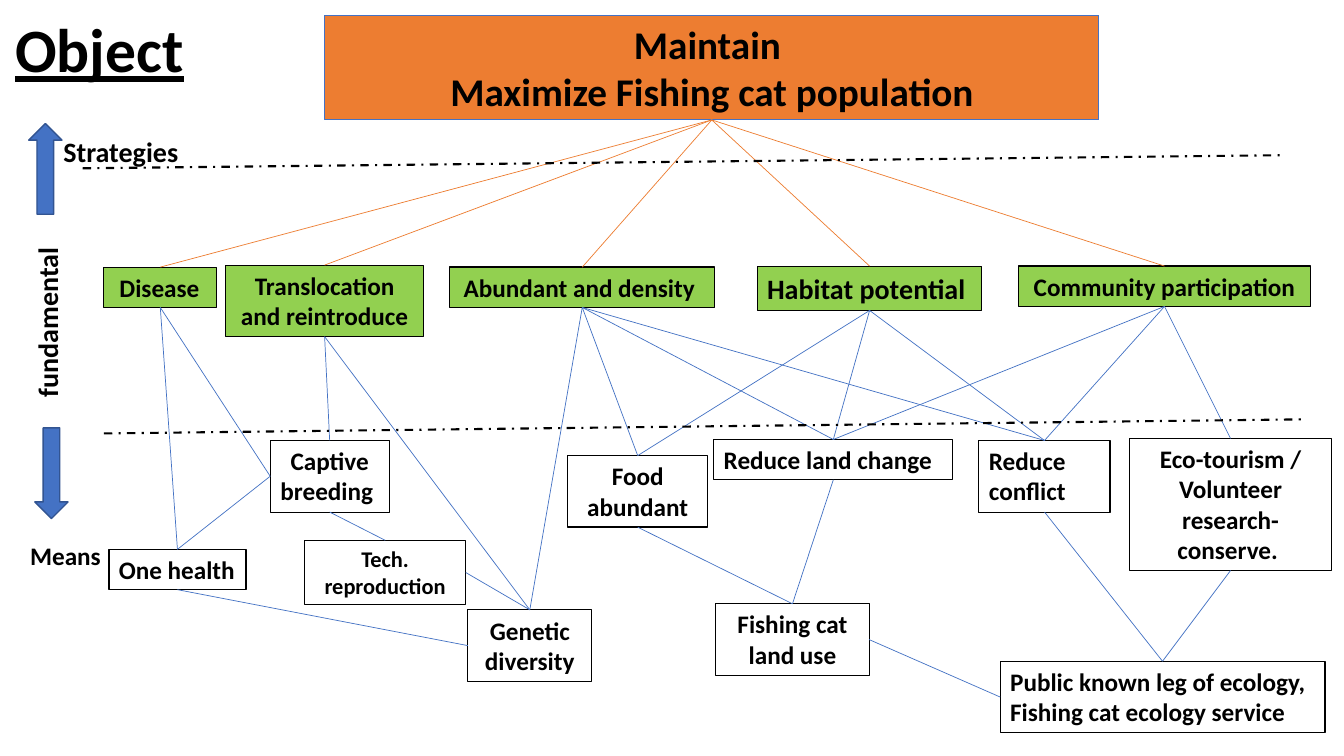
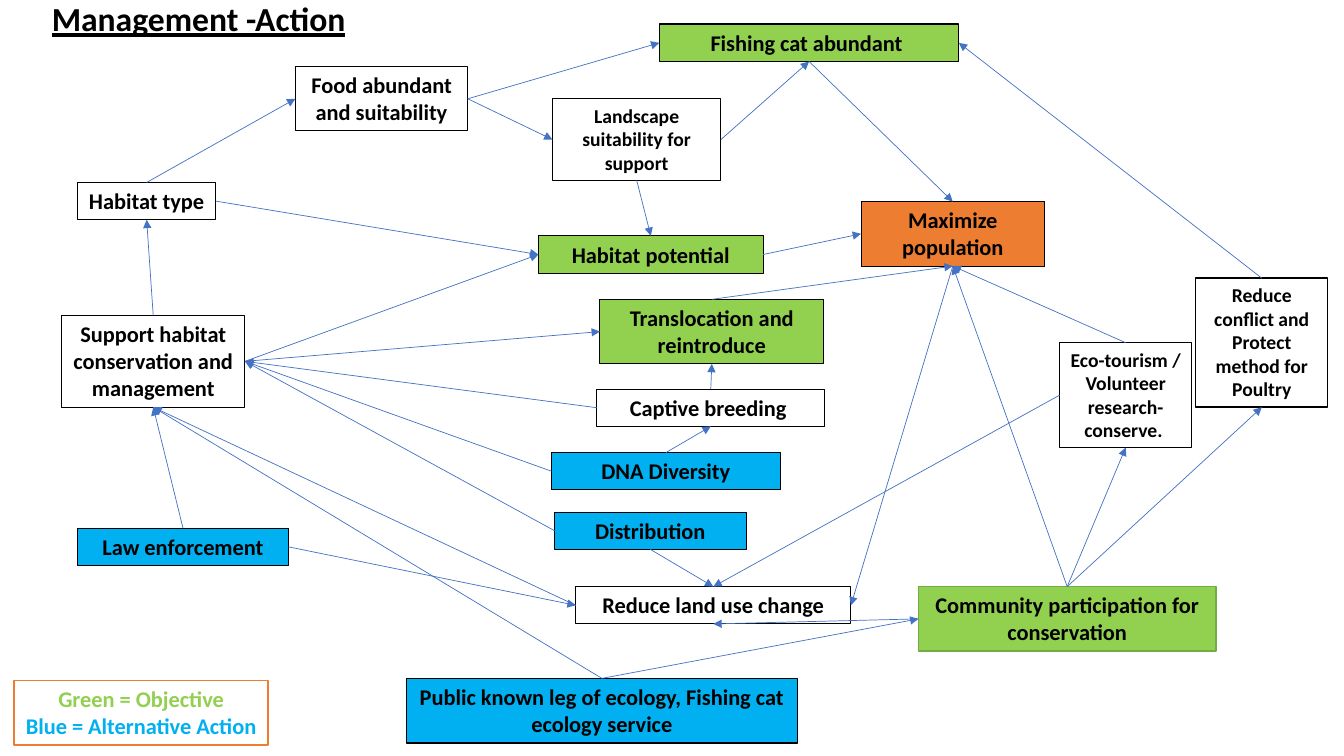
from dataclasses import dataclass
from itertools import cycle

from pptx import Presentation
from pptx.dml.color import RGBColor
from pptx.enum.dml import MSO_LINE
from pptx.enum.shapes import MSO_CONNECTOR, MSO_SHAPE
from pptx.enum.text import MSO_ANCHOR, MSO_AUTO_SIZE, PP_ALIGN
from pptx.oxml.ns import qn
from pptx.oxml.xmlchemy import OxmlElement
from pptx.shapes.autoshape import Shape
from pptx.shapes.connector import Connector
from pptx.slide import Slide
from pptx.util import Inches, Pt

COLORS = {
    "black": "000000",
    "white": "FFFFFF",
    "orange": "ED7D31",
    "green": "92D050",
    "leaf": "70AD47",
    "sky": "00B0F0",
    "blue": "4472C4",
    "navy": "325491",
}
FONT = {"name": "Calibri", "bold": True}
FRAME = {"vertical_anchor": MSO_ANCHOR.TOP, "auto_size": MSO_AUTO_SIZE.SHAPE_TO_FIT_TEXT}
TOP, LEFT, BOTTOM, RIGHT = range(4)


@dataclass(frozen=True)
class Box:
    key: str
    text: str
    x: float
    y: float
    w: float
    h: float
    fill: str = "white"
    size: int = 18
    align: PP_ALIGN = PP_ALIGN.CENTER
    line: str = "black"
    weight: float = 0.75
    wrap: bool = True
    ink: tuple[str, ...] = ("black",)


@dataclass(frozen=True)
class Link:
    start: str
    start_side: int
    end: str
    end_side: int
    color: str = "blue"


@dataclass(frozen=True)
class Label:
    text: str
    x: float
    y: float
    w: float
    h: float
    size: int = 20
    rotation: int = 0


@dataclass(frozen=True)
class Title:
    text: str
    x: float
    y: float
    w: float
    h: float
    size: int
    align: PP_ALIGN
    anchor: MSO_ANCHOR


def rgb(name: str) -> RGBColor:
    return RGBColor.from_string(COLORS[name])


def set_attrs(obj, values: dict) -> None:
    for name, value in values.items():
        setattr(obj, name, value)


def inches(*lengths: float) -> list[int]:
    return [Inches(v) for v in lengths]


def write(sp: Shape, text: str, size: int, align: PP_ALIGN, ink: tuple[str, ...] = ("black",), **extra) -> None:
    tf = sp.text_frame
    for i, (line, color) in enumerate(zip(text.split("\n"), cycle(ink))):
        p = tf.paragraphs[0] if i == 0 else tf.add_paragraph()
        p.alignment = align
        r = p.add_run()
        r.text = line
        set_attrs(r.font, {**FONT, "size": Pt(size), **extra})
        r.font.color.rgb = rgb(color)


def paint(sp: Shape, fill: str, line: str, weight: float) -> None:
    sp.shadow.inherit = False
    sp.fill.solid()
    sp.fill.fore_color.rgb = rgb(fill)
    sp.line.color.rgb = rgb(line)
    sp.line.width = Pt(weight)


def add_title(s: Slide, title: Title) -> None:
    sp = s.shapes.title
    set_attrs(sp, dict(zip(("left", "top", "width", "height"), inches(title.x, title.y, title.w, title.h))))
    set_attrs(sp.text_frame, {"vertical_anchor": title.anchor, "auto_size": MSO_AUTO_SIZE.NONE, "word_wrap": True})
    write(sp, title.text, title.size, title.align, underline=True)


def add_box(s: Slide, box: Box) -> Shape:
    sp = s.shapes.add_shape(MSO_SHAPE.RECTANGLE, *inches(box.x, box.y, box.w, box.h))
    paint(sp, box.fill, box.line, box.weight)
    set_attrs(sp.text_frame, {**FRAME, "word_wrap": box.wrap})
    write(sp, box.text, box.size, box.align, box.ink)
    return sp


def add_label(s: Slide, label: Label) -> None:
    sp = s.shapes.add_textbox(*inches(label.x, label.y, label.w, label.h))
    sp.rotation = label.rotation
    set_attrs(sp.text_frame, {**FRAME, "word_wrap": False})
    write(sp, label.text, label.size, PP_ALIGN.LEFT)


def add_line(s: Slide, ends: tuple[float, float, float, float], color: str, weight: float) -> Connector:
    c = s.shapes.add_connector(MSO_CONNECTOR.STRAIGHT, *inches(*ends))
    c.line.color.rgb = rgb(color)
    c.line.width = Pt(weight)
    c.element.spPr.append(OxmlElement("a:effectLst"))
    return c


def add_link(s: Slide, link: Link, shapes: dict[str, Shape], arrow: bool) -> None:
    c = add_line(s, (0, 0, 1, 1), link.color, 0.5)
    c.begin_connect(shapes[link.start], link.start_side)
    c.end_connect(shapes[link.end], link.end_side)
    if arrow:
        tail = OxmlElement("a:tailEnd")
        tail.set("type", "triangle")
        c.element.spPr.find(qn("a:ln")).append(tail)


def add_block_arrow(s: Slide, x: float, y: float, rotation: int) -> None:
    sp = s.shapes.add_shape(MSO_SHAPE.RIGHT_ARROW, *inches(x, y, 0.9, 0.33))
    sp.rotation = rotation
    paint(sp, "blue", "navy", 1)


def add_diagram(prs: Presentation, title: Title, boxes: list[Box], links: list[Link], arrow: bool) -> Slide:
    s = prs.slides.add_slide(prs.slide_layouts.get_by_name("Title Only"))
    add_title(s, title)
    shapes = {box.key: add_box(s, box) for box in boxes}
    for link in links:
        add_link(s, link, shapes, arrow)
    return s


OBJECT_TITLE = Title("Object", 0.05, 0, 3, 0.95, 44, PP_ALIGN.LEFT, MSO_ANCHOR.MIDDLE)
OBJECT_BOXES = [
    Box("goal", "Maintain \nMaximize Fishing cat population", 3.22, 0.15, 7.68, 1.04, "orange", 28, line="blue"),
    Box("disease", " Disease", 1.03, 2.65, 1.12, 0.4, "green", align=PP_ALIGN.LEFT, wrap=False),
    Box("translocation", "Translocation and reintroduce", 2.24, 2.63, 1.96, 0.71, "green"),
    Box("abundant", "Abundant and density ", 4.46, 2.65, 2.63, 0.4, "green", weight=1),
    Box("habitat", "Habitat potential", 7.51, 2.64, 2.23, 0.44, "green", 20, PP_ALIGN.LEFT),
    Box("community", "Community participation", 10.1, 2.64, 2.9, 0.4, "green", weight=1),
    Box("captive", "Captive breeding ", 2.68, 4.37, 1.18, 0.71),
    Box("food", "Food abundant", 5.63, 4.52, 1.39, 0.71, weight=1),
    Box("land", "Reduce land change", 7.08, 4.36, 2.37, 0.4, align=PP_ALIGN.LEFT, weight=1),
    Box("conflict", "Reduce conflict", 9.71, 4.37, 1.3, 0.71, align=PP_ALIGN.LEFT),
    Box("eco", "Eco-tourism / Volunteer research-conserve. ", 11.2, 4.35, 2.01, 1.31),
    Box("health", "One health", 1.08, 5.45, 1.36, 0.4, align=PP_ALIGN.LEFT, weight=1, wrap=False),
    Box("tech", "Tech. reproduction", 3.02, 5.36, 1.6, 0.64, size=16),
    Box("genetic", "Genetic diversity", 4.64, 6.05, 1.23, 0.71),
    Box("use", "Fishing cat land use", 7.1, 5.99, 1.52, 0.71),
    Box("public", "Public known leg of ecology, Fishing cat ecology service", 9.92, 6.56, 3.22, 0.71,
        align=PP_ALIGN.LEFT, weight=1),
]
DOWNWARD = {
    "disease": ("health",),
    "translocation": ("captive", "genetic"),
    "abundant": ("genetic", "food", "land", "conflict"),
    "habitat": ("food", "land", "conflict"),
    "community": ("land", "conflict", "eco"),
    "captive": ("tech",),
    "food": ("use",),
    "land": ("use",),
    "conflict": ("public",),
    "eco": ("public",),
}
OBJECTIVES = ("disease", "translocation", "abundant", "habitat", "community")
OBJECT_LINKS = [
    *(Link("goal", BOTTOM, key, TOP, "orange") for key in OBJECTIVES),
    *(Link(start, BOTTOM, end, TOP) for start, ends in DOWNWARD.items() for end in ends),
    Link("disease", BOTTOM, "captive", LEFT),
    Link("health", TOP, "captive", LEFT),
    Link("health", BOTTOM, "genetic", LEFT),
    Link("tech", RIGHT, "genetic", TOP),
    Link("use", RIGHT, "public", LEFT),
]
LABELS = [
    Label("Strategies", 0.53, 1.29, 1.42, 0.44),
    Label("fundamental", -0.38, 2.97, 1.7, 0.44, rotation=270),
    Label("Means", 0.2, 5.31, 0.91, 0.4, 18),
]
DIVIDERS = [(0.82, 1.67, 12.74, 1.54), (1.03, 4.3, 12.95, 4.16)]
BLOCK_ARROWS = [(0, 1.51, 270), (0.06, 4.53, 90)]

ACTION_TITLE = Title("Management -Action", 0, -0.07, 3.94, 0.5, 24, PP_ALIGN.CENTER, MSO_ANCHOR.TOP)
ACTION_BOXES = [
    Box("type", "Habitat type", 0.77, 1.81, 1.37, 0.37, size=16),
    Box("support", "Support habitat conservation and management", 0.61, 3.13, 1.82, 0.91, size=16),
    Box("maximize", "Maximize population", 8.54, 2, 1.82, 0.64, "orange", 16),
    Box("food", "Food abundant and suitability", 2.93, 0.66, 1.71, 0.64, size=16),
    Box("land", "Reduce land use change", 5.71, 5.82, 2.73, 0.37, size=16),
    Box("abundant", "Fishing cat abundant ", 6.54, 0.24, 2.97, 0.37, "green", 16, weight=1),
    Box("dna", "DNA Diversity", 5.47, 4.49, 2.27, 0.37, "sky", 16),
    Box("translocation", "Translocation and reintroduce", 5.95, 2.97, 2.22, 0.64, "green", 16),
    Box("community", "Community participation for conservation", 9.11, 5.82, 2.95, 0.64, "green", 16,
        line="leaf", weight=1),
    Box("public", "Public known leg of ecology, Fishing cat ecology service", 4.03, 6.73, 3.88, 0.64, "sky", 16,
        weight=1),
    Box("law", "Law enforcement", 0.77, 5.24, 2.09, 0.37, "sky", 16),
    Box("conflict", "Reduce conflict and Protect method for Poultry", 11.86, 2.76, 1.31, 1.28, size=14, weight=1),
    Box("legend", "Green = Objective\nBlue = Alternative Action", 0.14, 6.75, 2.52, 0.64, size=16,
        line="orange", weight=1, wrap=False, ink=("green", "sky")),
    Box("distribution", "Distribution", 5.5, 5.08, 1.9, 0.37, "sky", 16),
    Box("habitat", "Habitat potential", 5.34, 2.34, 2.23, 0.37, "green", 16),
    Box("eco", "Eco-tourism / Volunteer research-conserve. ", 10.51, 3.4, 1.31, 1.04, size=14),
    Box("captive", "Captive breeding ", 5.92, 3.86, 2.26, 0.37, size=16),
    Box("landscape", "Landscape suitability for support", 5.48, 0.98, 1.67, 0.81, size=14),
]
ACTION_LINKS = [
    Link("type", TOP, "food", LEFT),
    Link("type", RIGHT, "habitat", LEFT),
    Link("food", RIGHT, "abundant", LEFT),
    Link("food", RIGHT, "landscape", LEFT),
    Link("landscape", RIGHT, "abundant", BOTTOM),
    Link("landscape", BOTTOM, "habitat", TOP),
    Link("abundant", BOTTOM, "maximize", TOP),
    Link("habitat", RIGHT, "maximize", LEFT),
    Link("support", TOP, "type", BOTTOM),
    Link("support", RIGHT, "habitat", LEFT),
    Link("support", RIGHT, "translocation", LEFT),
    *(Link(key, LEFT, "support", RIGHT) for key in ("captive", "dna", "distribution")),
    Link("land", LEFT, "support", BOTTOM),
    *(Link(key, TOP, "support", BOTTOM) for key in ("public", "law")),
    *(Link(key, TOP, "maximize", BOTTOM) for key in ("translocation", "community", "eco")),
    Link("dna", TOP, "captive", BOTTOM),
    Link("captive", TOP, "translocation", BOTTOM),
    Link("public", TOP, "community", LEFT),
    *(Link("community", TOP, key, BOTTOM) for key in ("conflict", "eco")),
    Link("community", LEFT, "land", BOTTOM),
    Link("conflict", TOP, "abundant", RIGHT),
    Link("distribution", BOTTOM, "land", TOP),
    Link("maximize", BOTTOM, "land", RIGHT),
    Link("law", RIGHT, "land", LEFT),
    Link("eco", LEFT, "land", TOP),
]


def main() -> None:
    prs = Presentation()
    set_attrs(prs, {"slide_width": Inches(13.33), "slide_height": Inches(7.5)})

    s = add_diagram(prs, OBJECT_TITLE, OBJECT_BOXES, OBJECT_LINKS, arrow=False)
    for ends in DIVIDERS:
        add_line(s, ends, "black", 1.5).line.dash_style = MSO_LINE.DASH_DOT
    for x, y, rotation in BLOCK_ARROWS:
        add_block_arrow(s, x, y, rotation)
    for label in LABELS:
        add_label(s, label)

    add_diagram(prs, ACTION_TITLE, ACTION_BOXES, ACTION_LINKS, arrow=True)
    prs.save("out.pptx")


if __name__ == "__main__":
    main()
